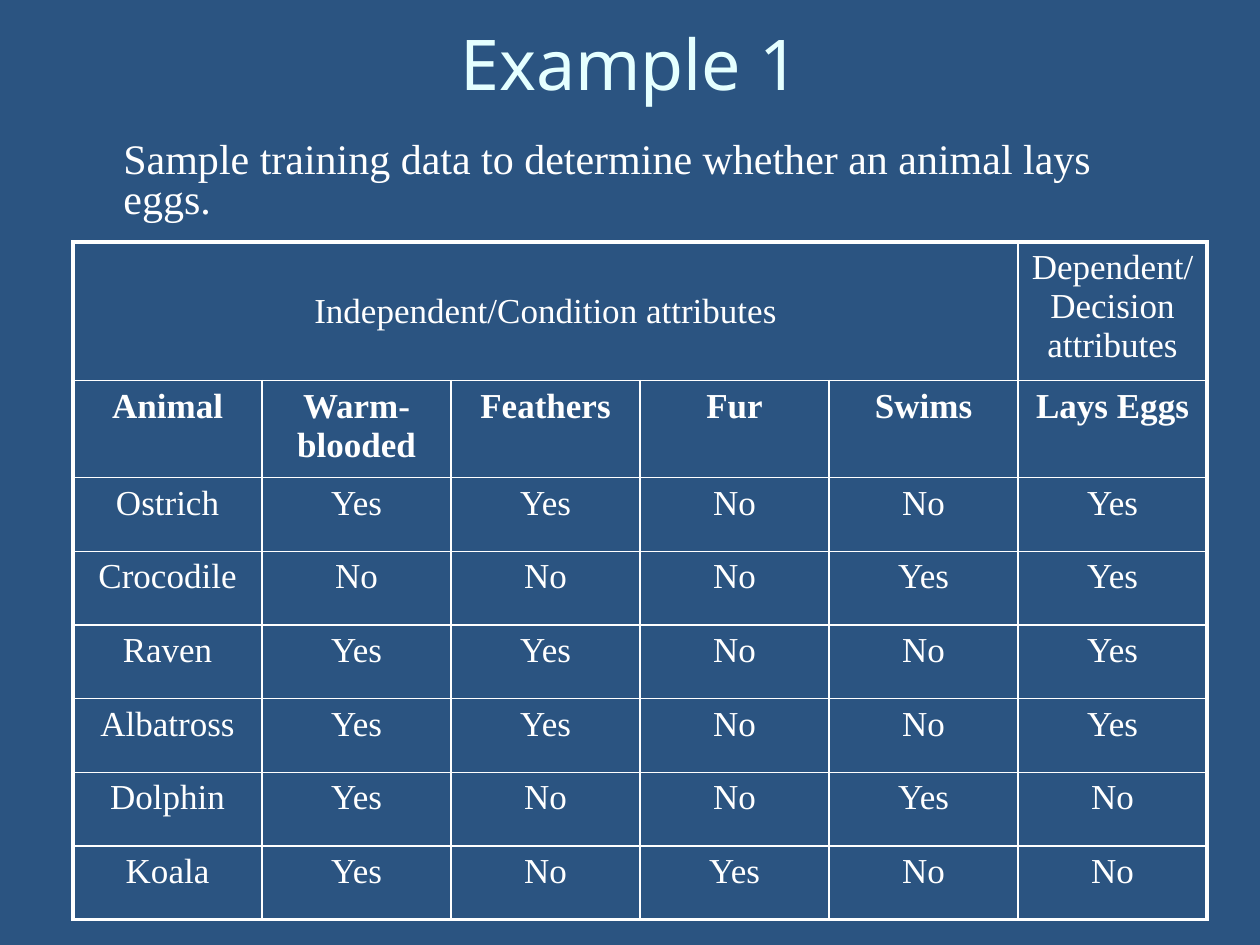
from lxml.etree import SubElement
from pptx import Presentation
from pptx.dml.color import RGBColor
from pptx.enum.text import MSO_ANCHOR, PP_ALIGN
from pptx.oxml.ns import qn
from pptx.util import Inches, Pt

COLORS = {"background": "2B5481", "title": "E5FFFF", "text": "FFFFFF"}
SERIF = "Times New Roman"
HEADINGS = ["Animal", "Warm-blooded", "Feathers", "Fur", "Swims", "Lays Eggs"]
ANIMALS = [
    ["Ostrich", "Yes", "Yes", "No", "No", "Yes"],
    ["Crocodile", "No", "No", "No", "Yes", "Yes"],
    ["Raven", "Yes", "Yes", "No", "No", "Yes"],
    ["Albatross", "Yes", "Yes", "No", "No", "Yes"],
    ["Dolphin", "Yes", "No", "No", "Yes", "No"],
    ["Koala", "Yes", "No", "Yes", "No", "No"],
]
GROUPS = ["Independent/Condition attributes", "", "", "", "",
          "Dependent/Decision attributes"]
ROWS = [GROUPS, HEADINGS] + ANIMALS
N_ROWS, N_COLS = len(ROWS), len(HEADINGS)
TABLE_W, TABLE_H = 9, 5.38
GROUP_H, HEADING_H = 1.1, 0.77
ANIMAL_H = (TABLE_H - GROUP_H - HEADING_H) / len(ANIMALS)
OUTER, INNER = 2.25, 1


def write(tf, text, size, font=SERIF, color="text", before=0, bold=False):
    """Put one styled paragraph in a text frame and return it."""
    tf.word_wrap = True
    p = tf.paragraphs[0]
    p.text = text
    p.font.size, p.font.name, p.font.bold = Pt(size), font, bold
    p.font.color.rgb = RGBColor.from_string(COLORS[color])
    p.space_before = Pt(before)
    return p


def add_borders(cell, widths):
    """Draw the left, right, top and bottom borders of a cell."""
    tc_pr = cell._tc.get_or_add_tcPr()
    for i, (side, width) in enumerate(zip("LRTB", widths)):
        ln = SubElement(tc_pr, qn(f"a:ln{side}"), w=str(Pt(width)))
        fill = SubElement(ln, qn("a:solidFill"))
        SubElement(fill, qn("a:srgbClr"), val=COLORS["text"])
        tc_pr.insert(i, ln)


prs = Presentation()
prs.slide_width, prs.slide_height = Inches(10), Inches(7.5)
s = prs.slides.add_slide(prs.slide_layouts[6])
s.background.fill.solid()
s.background.fill.fore_color.rgb = RGBColor.from_string(COLORS["background"])

title = s.shapes.add_textbox(Inches(0.5), Inches(0.25), Inches(9), Inches(0.5))
title.text_frame.vertical_anchor = MSO_ANCHOR.MIDDLE
p = write(title.text_frame, "Example 1", 40, "Noto Sans", "title")
p.alignment = PP_ALIGN.CENTER

intro = s.shapes.add_textbox(Inches(0.5), Inches(1.08), Inches(9), Inches(0.75))
intro.text_frame.margin_left = Inches(0.48)
p = write(intro.text_frame,
          "Sample training data to determine whether an animal lays eggs.",
          24, before=4.8)
p.line_spacing = 0.8

table = s.shapes.add_table(N_ROWS, N_COLS, Inches(0.58), Inches(1.92),
                           Inches(TABLE_W), Inches(TABLE_H)).table
for column in table.columns:
    column.width = Inches(TABLE_W / N_COLS)
heights = [GROUP_H, HEADING_H] + [ANIMAL_H] * len(ANIMALS)
for row, height in zip(table.rows, heights):
    row.height = Inches(height)

for r, values in enumerate(ROWS):
    for c, value in enumerate(values):
        cell = table.cell(r, c)
        cell.fill.background()
        add_borders(cell, [OUTER if c == 0 else INNER,
                           OUTER if c == N_COLS - 1 else INNER,
                           OUTER if r == 0 else INNER,
                           OUTER if r == N_ROWS - 1 else INNER])
        if value:
            p = write(cell.text_frame, value, 20, before=4, bold=r == 1)
            p.alignment = PP_ALIGN.CENTER

table.cell(0, 0).merge(table.cell(0, N_COLS - 2))
table.cell(0, 0).vertical_anchor = MSO_ANCHOR.MIDDLE

prs.save("out.pptx")
